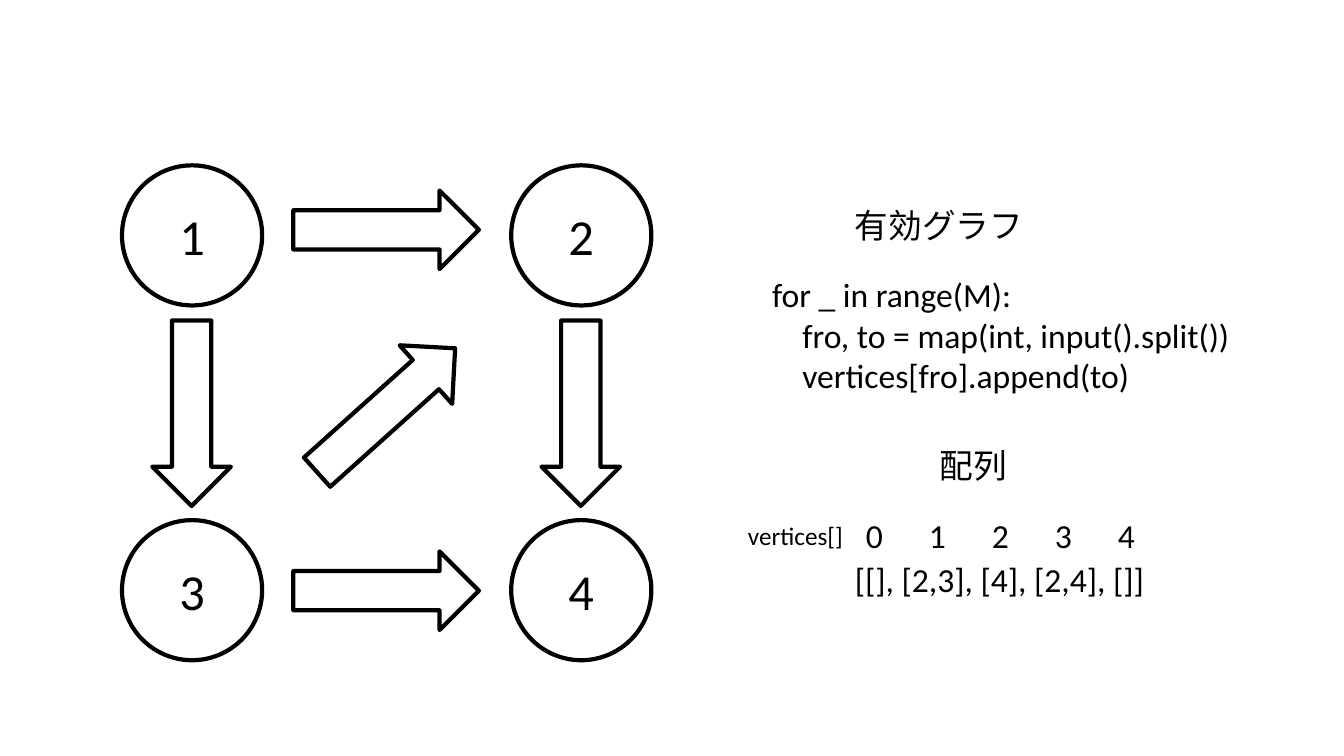
from pptx import Presentation
from pptx.dml.color import RGBColor
from pptx.enum.shapes import MSO_SHAPE
from pptx.enum.text import MSO_ANCHOR, MSO_AUTO_SIZE, PP_ALIGN
from pptx.util import Inches, Pt

deck = Presentation()
deck.slide_width, deck.slide_height = Inches(13.33), Inches(7.5)
slide = deck.slides.add_slide(deck.slide_layouts[6])
ink = RGBColor.from_string("000000")


def outline(kind, x, y, w, h):
    shape = slide.shapes.add_shape(kind, Inches(x), Inches(y), Inches(w), Inches(h))
    shape.shadow.inherit = False
    shape.fill.background()
    shape.line.color.rgb = ink
    shape.line.width = Pt(3)
    return shape


def write(para, text, size):
    run = para.add_run()
    run.text = text
    run.font.name = "Calibri"
    run.font.size = Pt(size)
    run.font.color.rgb = ink


# Graph nodes, numbered row by row
for i in range(4):
    row, col = divmod(i, 2)
    node = outline(MSO_SHAPE.OVAL, 1.21 + 3.86 * col, 1.64 + 3.52 * row, 1.39, 1.39)
    frame = node.text_frame
    frame.vertical_anchor = MSO_ANCHOR.MIDDLE
    frame.paragraphs[0].alignment = PP_ALIGN.CENTER
    write(frame.paragraphs[0], str(i + 1), 36)

# Directed edges: left, top, turn
edges = [
    (2.91, 1.89, 0),
    (2.91, 5.47, 0),
    (4.84, 3.71, 90),
    (0.98, 3.71, 90),
    (2.91, 3.68, 318.1),
]
for x, y, turn in edges:
    outline(MSO_SHAPE.RIGHT_ARROW, x, y, 1.84, 0.78).rotation = turn

# Headings, code and list: left, top, width, height, size, lines with indent
code = [
    ("for _ in range(M):", 0),
    ("fro, to = map(int, input().split())", 0.3),
    ("vertices[fro].append(to)", 0.3),
]
texts = [
    (8.38, 1.98, 1.88, 0.5, 24, [("有効グラフ", 0)]),
    (7.56, 2.67, 4.77, 1.31, 24, code),
    (9.22, 4.36, 0.88, 0.5, 24, [("配列", 0)]),
    (7.32, 5.11, 1.15, 0.4, 18, [("vertices[]", 0)]),
    (8.38, 5.5, 3.1, 0.5, 24, [("[[], [2,3], [4], [2,4], []]", 0)]),
]
# Index above each list entry
for i in range(5):
    texts.append((8.49 + 0.625 * i, 5.06, 0.37, 0.5, 24, [(str(i), 0)]))

for x, y, w, h, size, lines in texts:
    box = slide.shapes.add_textbox(Inches(x), Inches(y), Inches(w), Inches(h))
    frame = box.text_frame
    frame.word_wrap = False
    frame.auto_size = MSO_AUTO_SIZE.SHAPE_TO_FIT_TEXT
    for n, (text, indent) in enumerate(lines):
        para = frame.add_paragraph() if n else frame.paragraphs[0]
        if indent:
            para._p.get_or_add_pPr().set("marL", str(Inches(indent)))
        write(para, text, size)

deck.save("out.pptx")
